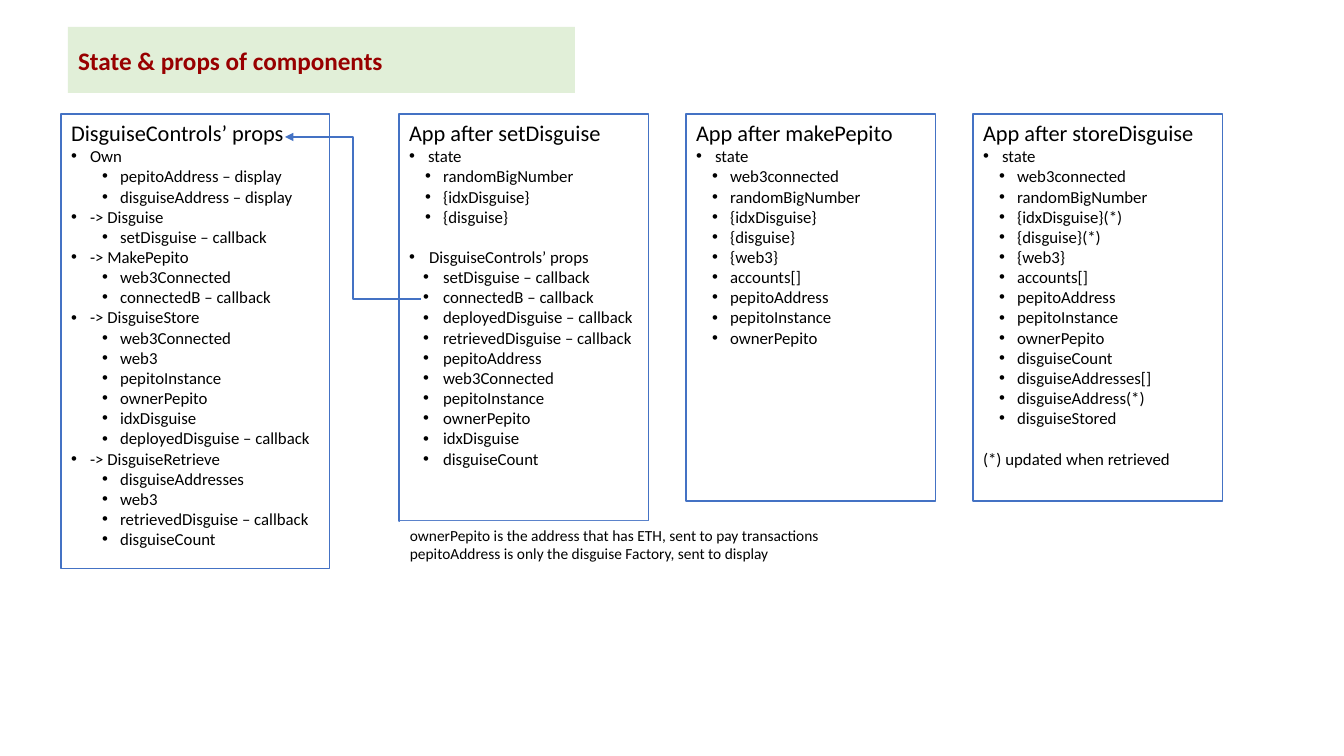
"""Build the slide that lists the state and props of each component."""
from dataclasses import dataclass

from lxml import etree
from pptx import Presentation
from pptx.dml.color import RGBColor
from pptx.enum.shapes import MSO_CONNECTOR
from pptx.enum.text import MSO_ANCHOR, MSO_AUTO_SIZE, PP_ALIGN
from pptx.oxml.ns import qn
from pptx.util import Emu, Pt

ELBOW = MSO_CONNECTOR.ELBOW
TOP, MIDDLE = MSO_ANCHOR.TOP, MSO_ANCHOR.MIDDLE
NO_FIT = MSO_AUTO_SIZE.NONE
LEFT = PP_ALIGN.LEFT
COMPARISON_LAYOUT = 4
PX = 914400 / 100.8
PANEL_TOP = 114


@dataclass(frozen=True)
class Theme:
    """Colours, font and type sizes."""
    font: str = "Calibri"
    text: str = "000000"
    title: str = "980000"
    banner: str = "E1EFD8"
    paper: str = "FFFFFF"
    line: str = "4472C4"
    title_size: int = 18
    heading_size: int = 16
    item_size: int = 12
    note_size: int = 11
    blank_line: float = 14.4


@dataclass(frozen=True)
class Group:
    """A bulleted label with its nested items."""
    label: str
    items: list[str]
    indent: int = 34
    hang: int = 18
    label_hang: int = 19


@dataclass(frozen=True)
class Panel:
    """A framed list of groups."""
    idx: int
    left: int
    width: int
    height: int
    heading: str
    groups: list[Group]
    footnote: str = ""


THEME = Theme()
FACTORY = ["pepitoAddress", "pepitoInstance", "ownerPepito"]
PANELS = [
    Panel(1, 61, 269, 455, "DisguiseControls’ props", [
        Group("Own", ["pepitoAddress – display", "disguiseAddress – display"], 49),
        Group("-> Disguise", ["setDisguise – callback"], 49),
        Group("-> MakePepito", ["web3Connected", "connectedB – callback"], 49),
        Group("-> DisguiseStore", [
            "web3Connected", "web3", "pepitoInstance", "ownerPepito",
            "idxDisguise", "deployedDisguise – callback"], 49),
        Group("-> DisguiseRetrieve", [
            "disguiseAddresses", "web3", "retrievedDisguise – callback",
            "disguiseCount"], 49),
    ]),
    Panel(2, 399, 250, 407, "App after setDisguise", [
        Group("state", ["randomBigNumber", "{idxDisguise}", "{disguise}"]),
        Group("DisguiseControls’ props", [
            "setDisguise – callback", "connectedB – callback",
            "deployedDisguise – callback", "retrievedDisguise – callback",
            "pepitoAddress", "web3Connected", "pepitoInstance", "ownerPepito",
            "idxDisguise", "disguiseCount"], hang=20, label_hang=20),
    ]),
    Panel(3, 686, 250, 387, "App after makePepito", [
        Group("state", ["web3connected", "randomBigNumber", "{idxDisguise}",
                        "{disguise}", "{web3}", "accounts[]", *FACTORY]),
    ]),
    Panel(4, 973, 250, 387, "App after storeDisguise", [
        Group("state", ["web3connected", "randomBigNumber", "{idxDisguise}(*)",
                        "{disguise}(*)", "{web3}", "accounts[]", *FACTORY,
                        "disguiseCount", "disguiseAddresses[]",
                        "disguiseAddress(*)", "disguiseStored"]),
    ], "(*) updated when retrieved"),
]
NOTES = ["ownerPepito is the address that has ETH, sent to pay transactions",
         "pepitoAddress is only the disguise Factory, sent to display"]


def px(n: float) -> Emu:
    """Turn pixels into EMU."""
    return Emu(round(n * PX))


def rgb(value: str) -> RGBColor:
    """Turn a hex string into a colour."""
    return RGBColor.from_string(value)


def place(s, left: int, top: int, width: int, height: int, anchor=TOP):
    """Position a shape and return its prepared text frame."""
    s.left, s.top, s.width, s.height = map(px, (left, top, width, height))
    tf = s.text_frame
    tf.word_wrap = True
    tf.auto_size = NO_FIT
    tf.vertical_anchor = anchor
    return tf


def write(tf, text: str, *, size: int = THEME.item_size, color: str = THEME.text,
          bold: bool = False, level: int = 0, indent: int = 0, hang: int = 0,
          before: float = 0) -> None:
    """Add a formatted paragraph, bulleted when it has a hanging indent."""
    p = tf.paragraphs[0] if not tf.text else tf.add_paragraph()
    p.alignment = LEFT
    p.level = level
    p.space_before, p.space_after = Pt(before), Pt(0)
    pPr = p._p.get_or_add_pPr()
    pPr.set("marL", str(px(indent)))
    pPr.set("indent", str(-px(hang)))
    if hang:
        etree.SubElement(pPr, qn("a:buFont")).set("typeface", "Arial")
        etree.SubElement(pPr, qn("a:buChar")).set("char", "•")
    else:
        etree.SubElement(pPr, qn("a:buNone"))
    r = p.add_run()
    r.text = text
    r.font.name, r.font.size, r.font.bold = THEME.font, Pt(size), bold
    r.font.color.rgb = rgb(color)


def draw_panel(slide, panel: Panel) -> None:
    """Fill a body placeholder with a framed list."""
    s = next(ph for ph in slide.placeholders if ph.placeholder_format.idx == panel.idx)
    tf = place(s, panel.left, PANEL_TOP, panel.width, panel.height)
    s.line.color.rgb = rgb(THEME.line)
    s.line.width = Pt(0.75)
    write(tf, panel.heading, size=THEME.heading_size)
    for i, group in enumerate(panel.groups):
        gap = THEME.blank_line if i and panel.idx == 2 else 0
        write(tf, group.label, indent=group.label_hang, hang=group.label_hang, before=gap)
        for item in group.items:
            write(tf, item, level=1, indent=group.indent, hang=group.hang)
    if panel.footnote:
        write(tf, panel.footnote, before=THEME.blank_line)


def draw_arrow(slide, x1: int, y1: int, x2: int, y2: int) -> None:
    """Draw an elbow connector with its arrowhead at the start."""
    s = slide.shapes.add_connector(ELBOW, px(x1), px(y1), px(x2), px(y2))
    s.line.color.rgb = rgb(THEME.line)
    s.line.width = Pt(1)
    etree.SubElement(s.line._get_or_add_ln(), qn("a:headEnd")).set("type", "triangle")
    etree.SubElement(s._element.spPr, qn("a:effectLst"))


def main() -> None:
    """Build and save the slide."""
    prs = Presentation()
    prs.slide_width, prs.slide_height = px(1344), px(756)
    slide = prs.slides.add_slide(prs.slide_layouts[COMPARISON_LAYOUT])

    title = slide.shapes.title
    tf = place(title, 68, 27, 507, 66, MIDDLE)
    title.fill.solid()
    title.fill.fore_color.rgb = rgb(THEME.banner)
    write(tf, "State & props of components", size=THEME.title_size,
          color=THEME.title, bold=True)

    for panel in PANELS:
        draw_panel(slide, panel)

    note = slide.shapes.add_textbox(0, 0, 0, 0)
    tf = place(note, 400, 521, 432, 47)
    note.fill.solid()
    note.fill.fore_color.rgb = rgb(THEME.paper)
    for text in NOTES:
        write(tf, text, size=THEME.note_size)

    draw_arrow(slide, 285, 137, 421, 299)
    prs.save("out.pptx")


main()
